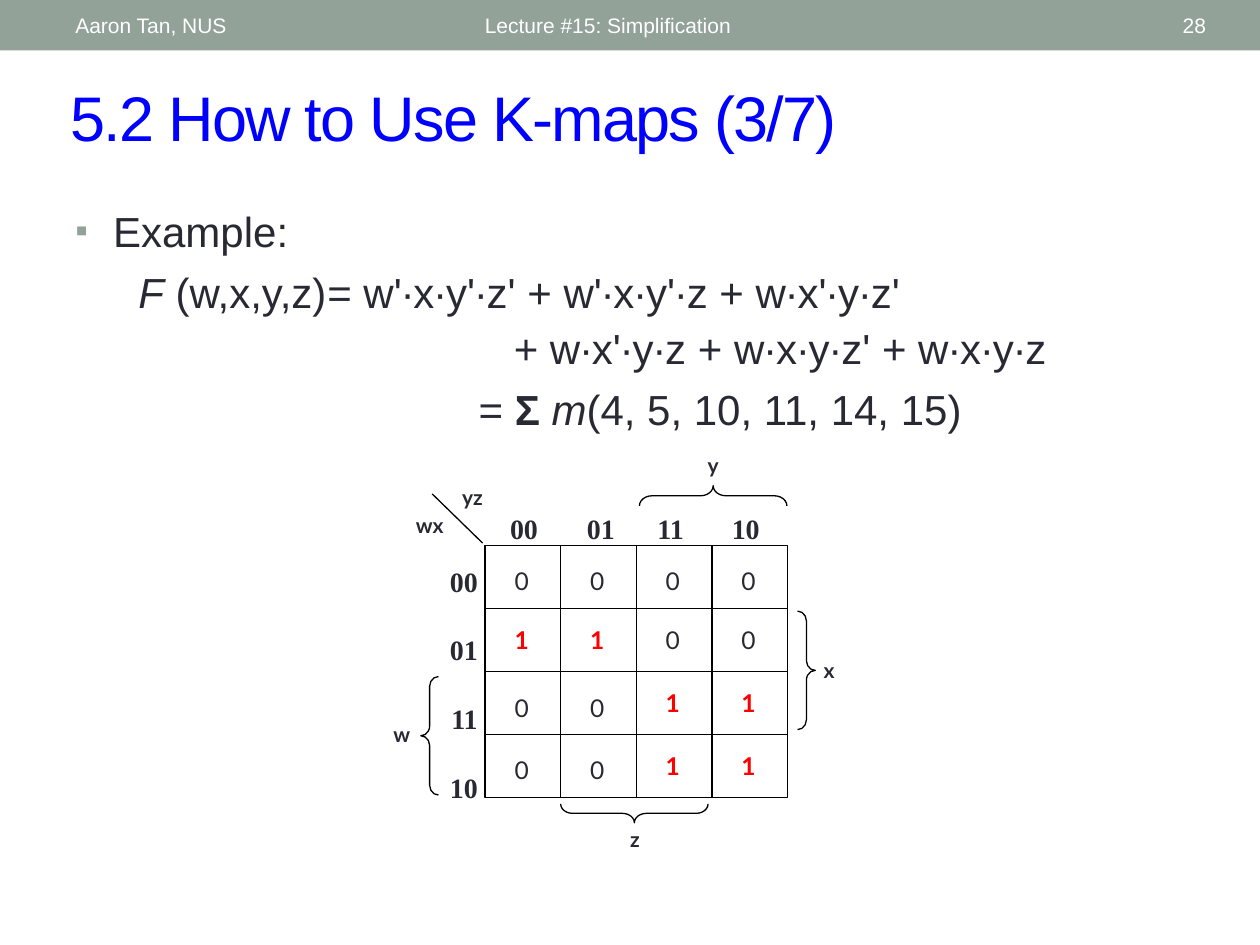
from lxml import etree
from pptx import Presentation
from pptx.dml.color import RGBColor
from pptx.enum import shapes, text
from pptx.oxml import ns
from pptx.util import Inches, Pt

# Content
INK, RED, BLUE, SAGE, WHITE, BLACK = "292934", "FF0000", "0000FF", "93A299", "FFFFFF", "000000"
LEFT, CENTER, RIGHT = text.PP_ALIGN.LEFT, text.PP_ALIGN.CENTER, text.PP_ALIGN.RIGHT
TITLE = "5.2 How to Use K-maps (3/7)"
HEADER = [  # text, left, width, alignment
    ("Lecture #15: Simplification", 3.75, 4.5, LEFT),
    ("28", 8.72, 0.95, RIGHT),
    ("Aaron Tan, NUS", 0.5, 3.17, LEFT),
]
BODY = [  # runs (text, style), left indent, space before, tab stops
    ([("Example:", "")], 0.3, 6, []),
    ([("\tF", "i"), (" (w,x,y,z)\t= w'∙x∙y'∙z' + w'∙x∙y'∙z + w∙x'∙y∙z'", "")], 0, 6, [1.29, 3.2]),
    ([("+ w∙x'∙y∙z + w∙x∙y∙z' + w∙x∙y∙z", "")], 3.48, 3.5, []),
    ([("= ", ""), ("Σ ", "b"), ("m", "i"), ("(4, 5, 10, 11, 14, 15)", "")], 3.2, 6, []),
]
GRAY_CODE = ["00", "01", "11", "10"]
COLUMN_STOPS = [0.61, 1.17, 1.76]
K_MAP = ["0000", "1100", "0011", "0011"]
VARIABLES = [  # text, left, top, width, height
    ("w", 2.97, 5.68, 0.44, 0.4),
    ("x", 6.36, 5.17, 0.44, 0.4),
    ("y", 5.44, 3.54, 0.44, 0.32),
    ("z", 4.82, 6.51, 0.44, 0.4),
    ("wx", 3.15, 4.02, 0.52, 0.36),
    ("yz", 3.49, 3.8, 0.52, 0.32),
]
BRACES = [  # left, top, width, height, rotation, curl
    (3.34, 5.37, 0.14, 0.94, 0, 0.55),
    (6.33, 4.85, 0.14, 0.94, 180, 0.55),
    (5.58, 3.35, 0.16, 1.17, 90, 0.63),
    (4.96, 5.87, 0.15, 1.17, 270, 0.63),
]
MAP_LEFT, MAP_TOP, CELL_WIDTH, CELL_HEIGHT = 3.85, 4.33, 0.6, 0.5
ZERO_TOPS = [4.44, 4.91, 5.45, 5.94]

presentation = Presentation()
presentation.slide_width, presentation.slide_height = Inches(10), Inches(7.5)
slide = presentation.slides.add_slide(presentation.slide_layouts[6])


def color(value):
    return RGBColor.from_string(value)


def add_child(parent, tag, **attributes):
    return etree.SubElement(parent, ns.qn(tag), attributes)


def add_text_box(left, top, width, height, anchor=text.MSO_ANCHOR.TOP):
    box = slide.shapes.add_textbox(Inches(left), Inches(top), Inches(width), Inches(height))
    box.text_frame.word_wrap = True
    box.text_frame.vertical_anchor = anchor
    return box.text_frame


def add_run(paragraph, words, size, font, ink, style=""):
    run = paragraph.add_run()
    run.text = words
    run.font.size, run.font.name = Pt(size), font
    run.font.bold, run.font.italic = "b" in style, "i" in style
    run.font.color.rgb = color(ink)
    return run


def add_label(place, words, size, font, ink, style="", align=CENTER, anchor=text.MSO_ANCHOR.TOP):
    paragraph = add_text_box(*place, anchor).paragraphs[0]
    paragraph.alignment = align
    add_run(paragraph, words, size, font, ink, style)
    return paragraph


def set_tabs(paragraph, stops):
    tabs = add_child(paragraph._p.get_or_add_pPr(), "a:tabLst")
    for stop in stops:
        add_child(tabs, "a:tab", pos=str(Inches(stop)), algn="l")


def add_outline(kind, left, top, width, height):
    shape = slide.shapes.add_shape(kind, Inches(left), Inches(top), Inches(width), Inches(height))
    shape.shadow.inherit = False
    shape.fill.background()
    shape.line.color.rgb = color(BLACK)
    shape.line.width = Pt(0.75)
    return shape


def add_line(x1, y1, x2, y2):
    line = slide.shapes.add_connector(
        shapes.MSO_CONNECTOR.STRAIGHT, Inches(x1), Inches(y1), Inches(x2), Inches(y2))
    line.line.color.rgb = color(BLACK)
    line.line.width = Pt(0.75)
    add_child(line._element.spPr, "a:effectLst")


# Header band and title
band = add_outline(shapes.MSO_SHAPE.RECTANGLE, 0, 0, 10, 0.4)
band.fill.solid()
band.fill.fore_color.rgb = color(SAGE)
band.line.fill.background()
for words, left, width, align in HEADER:
    add_label((left, 0.02, width, 0.36), words, 12, "Arial", WHITE, "", align, text.MSO_ANCHOR.MIDDLE)
title = add_label((0.46, 0.57, 9.07, 0.7), TITLE, 36, "Arial", BLUE, "", LEFT, text.MSO_ANCHOR.MIDDLE)
title.runs[0].font._element.set("spc", "-100")

# Function and its minterms
body = add_text_box(0.5, 1.58, 9, 2.1)
for index, (runs, indent, space, stops) in enumerate(BODY):
    paragraph = body.add_paragraph() if index else body.paragraphs[0]
    paragraph.space_before = Pt(space)
    properties = paragraph._p.get_or_add_pPr()
    properties.set("marL", str(Inches(indent)))
    properties.set("indent", "0" if index else str(-Inches(indent)))
    if index == 0:
        add_child(add_child(properties, "a:buClr"), "a:srgbClr", val=SAGE)
        add_child(properties, "a:buSzPct", val="85000")
        add_child(properties, "a:buFont", typeface="Arial")
        add_child(properties, "a:buChar", char="▪")
    if stops:
        set_tabs(paragraph, stops)
    for words, style in runs:
        add_run(paragraph, words, 24, "Arial", INK, style)

# Map grid with the corner diagonal
map_width, map_height = 4 * CELL_WIDTH, 4 * CELL_HEIGHT
add_outline(shapes.MSO_SHAPE.RECTANGLE, MAP_LEFT, MAP_TOP, map_width, map_height)
for step in range(1, 4):
    x, y = MAP_LEFT + step * CELL_WIDTH, MAP_TOP + step * CELL_HEIGHT
    add_line(x, MAP_TOP, x, MAP_TOP + map_height)
    add_line(MAP_LEFT, y, MAP_LEFT + map_width, y)
add_line(3.83, 4.31, 3.43, 3.92)

# Row and column codes
columns = add_label((3.95, 4.01, 2.24, 0.4), "\t".join(GRAY_CODE), 16, "Times New Roman", INK, "b", LEFT)
set_tabs(columns, COLUMN_STOPS)
rows = add_text_box(3.45, 4.43, 0.44, 2.07)
for index, code in enumerate(GRAY_CODE):
    paragraph = rows.add_paragraph() if index else rows.paragraphs[0]
    paragraph.alignment = RIGHT
    paragraph.space_before = Pt(20 if index else 0)
    add_run(paragraph, code, 16, "Times New Roman", INK, "b")

# Braces and variable names
for left, top, width, height, rotation, curl in BRACES:
    brace = add_outline(shapes.MSO_SHAPE.LEFT_BRACE, left, top, width, height)
    brace.rotation = rotation
    brace.adjustments[0] = curl
for name, *place in VARIABLES:
    add_label(place, name, 12, "Lato", INK, "b")

# Cell values
for row, values in enumerate(K_MAP):
    for column, value in enumerate(values):
        is_one = value == "1"
        top = 4.41 + row * CELL_HEIGHT if is_one else ZERO_TOPS[row]
        add_label((3.84 + column * CELL_WIDTH, top, 0.6, 0.4), value, 14, "Lato",
                  RED if is_one else INK, "b" if is_one else "")

presentation.save("out.pptx")
